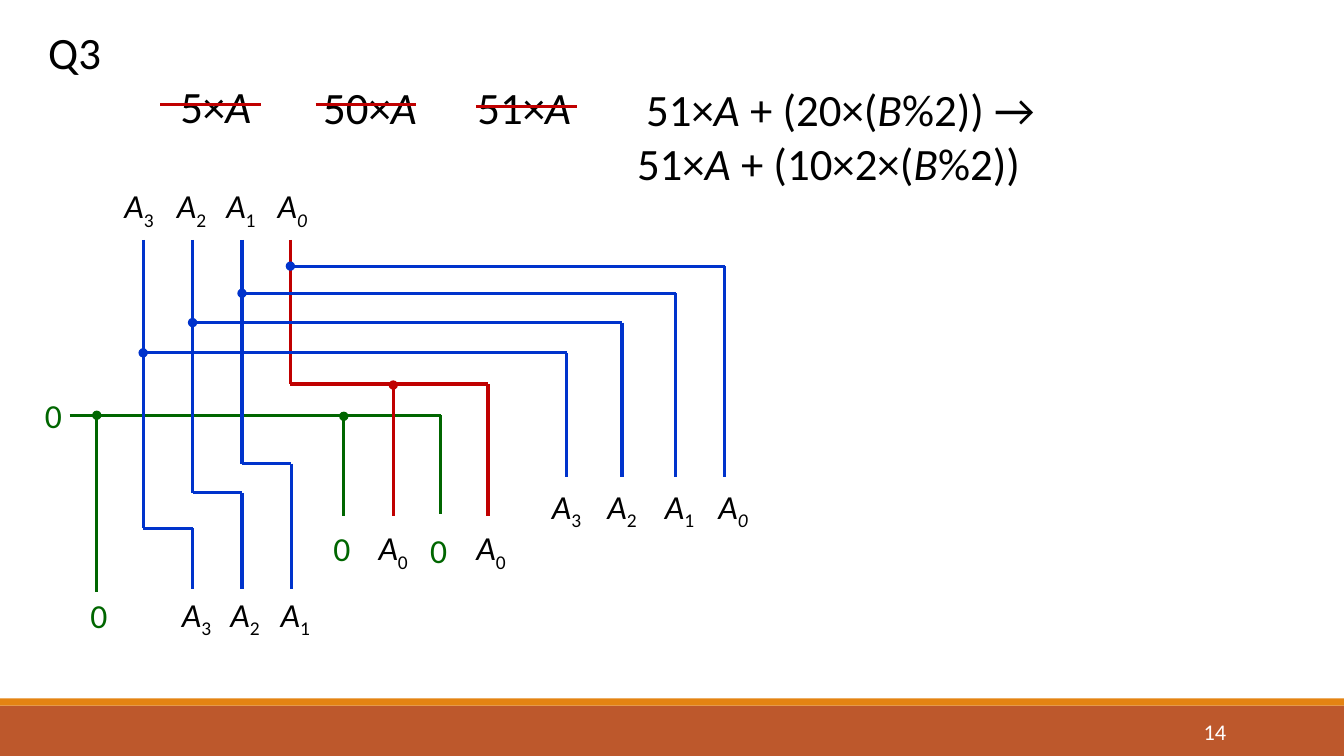
from pptx import Presentation
from pptx import util as u
from pptx.dml.color import RGBColor
from pptx.enum import shapes, text
from pptx.oxml import ns
from lxml import etree

HUES = {"black": "000000", "white": "FFFFFF", "red": "C00000", "green": "006600",
        "blue": "0033CC", "rust": "BD582C", "gold": "E48312"}
ALIGN = text.PP_ALIGN


def hue(name):
    return RGBColor.from_string(HUES[name])


def band(slide, top, high, color):
    bar = slide.shapes.add_shape(shapes.MSO_SHAPE.RECTANGLE, 0, u.Inches(top),
                                 u.Inches(13.33), u.Inches(high))
    bar.shadow.inherit = False
    bar.fill.solid()
    bar.fill.fore_color.rgb = hue(color)
    bar.line.fill.background()


def write(slide, area, runs, size, color="black", align=ALIGN.CENTER):
    """Each run is (words, style); style may hold i (italic) and s (subscript)."""
    box = slide.shapes.add_textbox(*map(u.Inches, area))
    box.text_frame.word_wrap = True
    para = box.text_frame.paragraphs[0]
    para.alignment = align
    for words, style in runs:
        run = para.add_run()
        run.text = words
        font = run.font
        font.name, font.size = "Calibri", u.Pt(size)
        font.italic = "i" in style
        font.color.rgb = hue(color)
        if "s" in style:
            run._r.get_or_add_rPr().set("baseline", "-25000")
    return box


def bit(slide, mid, top, digit, style="s"):
    write(slide, (mid - 0.33, top, 0.66, 0.5), [("A", "i"), (digit, style)], 24)


def zero(slide, mid, top):
    write(slide, (mid - 0.26, top, 0.52, 0.5), [("0", "")], 24, "green")


def wire(slide, color, *points, dot=False):
    """Straight pieces through the points, with an optional dot at the start."""
    for start, end in zip(points, points[1:]):
        line = slide.shapes.add_connector(shapes.MSO_CONNECTOR.STRAIGHT,
                                          *map(u.Inches, start + end))
        line.line.color.rgb = hue(color)
        line.line.width = u.Pt(2.25)
        if dot and start == points[0]:
            etree.SubElement(line.line._get_or_add_ln(), ns.qn("a:headEnd"), type="oval")
        etree.SubElement(line._element.spPr, ns.qn("a:effectLst"))


def main():
    deck = Presentation()
    deck.slide_width, deck.slide_height = u.Inches(13.33), u.Inches(7.5)
    slide = deck.slides.add_slide(deck.slide_layouts[6])

    # Footer and title
    band(slide, 7, 0.5, "rust")
    band(slide, 6.93, 0.07, "gold")
    page = write(slide, (10.83, 7.06, 1.43, 0.4), [("14", "")], 16, "white", ALIGN.RIGHT)
    page.text_frame.vertical_anchor = text.MSO_ANCHOR.MIDDLE
    title = write(slide, (0.38, 0.26, 0.99, 0.63), [("Q3", "")], 32, align=ALIGN.LEFT)
    title.text_frame.paragraphs[0].line_spacing = 0.9

    # Products already done, struck through
    for left, top, count, strike, level in [(1.4, 0.73, "5×", 1.59, 1.04),
                                            (2.93, 0.74, "50×", 3.13, 1.04),
                                            (4.46, 0.74, "51×", 4.72, 1.06)]:
        write(slide, (left, top, 1.48, 0.64), [(count, ""), ("A", "i")], 32)
        wire(slide, "red", (strike, level), (strike + 1, level))

    # Current formula, second line starting slightly further left
    sums = [("51×", ""), ("A ", "i"), ("+ (20×(", ""), ("B", "i"), ("%2)) → 51×", ""),
            ("A ", "i"), ("+ (10×2×(", ""), ("B", "i"), ("%2))", "")]
    goal = write(slide, (6.05, 0.76, 4.59, 1.18), sums, 32, align=ALIGN.LEFT)
    props = goal.text_frame.paragraphs[0]._p.get_or_add_pPr()
    props.set("marL", str(u.Inches(0.17)))
    props.set("indent", str(u.Inches(0.09)))

    # Constant zero in green
    wire(slide, "green", (0.69, 4.12), (4.37, 4.12), (4.37, 5.1))
    wire(slide, "green", (3.41, 4.13), (3.41, 5.12), dot=True)
    wire(slide, "green", (0.96, 4.12), (0.96, 5.87), dot=True)
    for mid, top in [(0.53, 3.87), (3.39, 5.19), (4.35, 5.21), (0.98, 5.85)]:
        zero(slide, mid, top)

    # Lowest bit in red
    wire(slide, "red", (2.88, 2.38), (2.88, 3.81), (4.84, 3.81), (4.84, 5.12))
    wire(slide, "red", (3.9, 3.82), (3.9, 5.12), dot=True)
    for mid in (3.9, 4.87):
        bit(slide, mid, 5.18, "0")

    # Upper bits moved one place right
    for left, turn in [(2.4, 4.6), (1.91, 4.89), (1.42, 5.24)]:
        right = left + 0.49
        wire(slide, "blue", (left, 2.38), (left, turn), (right, turn), (right, 5.84))

    # All four bits sent to the right
    for left, level, right in [(2.88, 2.64, 7.19), (2.4, 2.91, 6.7),
                               (1.91, 3.2, 6.17), (1.42, 3.5, 5.62)]:
        wire(slide, "blue", (left, level), (right, level), (right, 4.73), dot=True)

    # Bit names: inputs, right group, lower group
    for top, mids in [(1.79, (1.38, 1.9, 2.39, 2.9)),
                      (4.77, (5.62, 6.17, 6.74, 7.27)),
                      (5.84, (1.95, 2.43, 2.93))]:
        for mid, digit in zip(mids, "3210"):
            bit(slide, mid, top, digit, "is" if digit == "0" else "s")

    deck.save("out.pptx")


if __name__ == "__main__":
    main()
